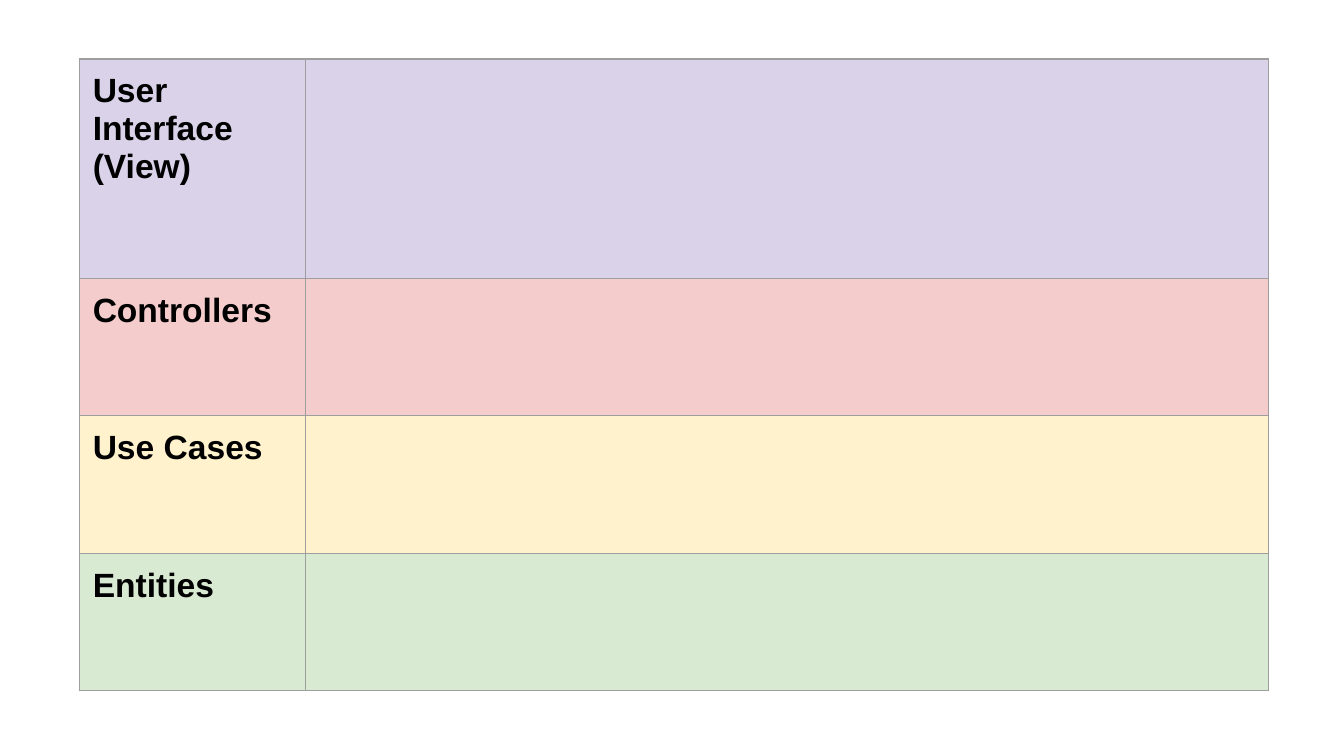
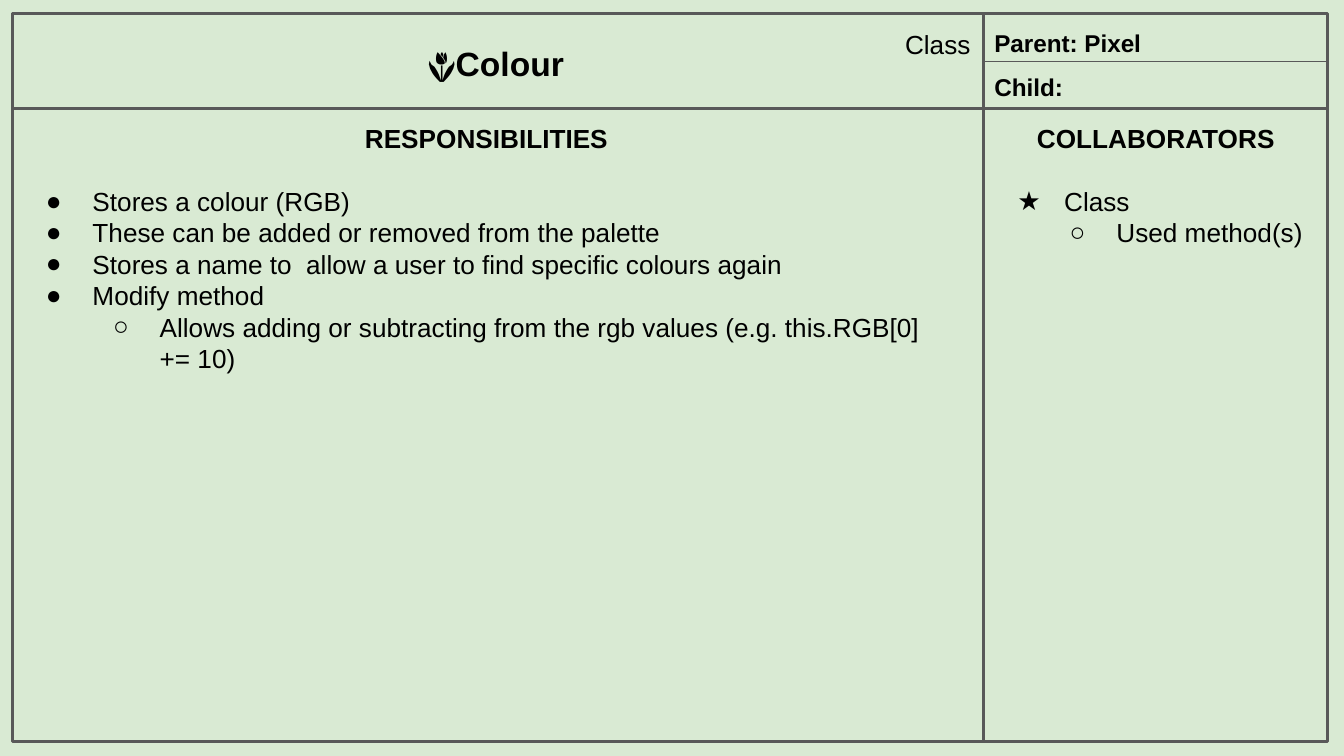
from lxml.etree import SubElement
from pptx import Presentation
from pptx.dml.color import RGBColor
from pptx.enum.shapes import MSO_CONNECTOR, MSO_SHAPE
from pptx.enum.text import MSO_AUTO_SIZE, PP_ALIGN
from pptx.oxml import parse_xml
from pptx.oxml.ns import nsdecls, qn
from pptx.util import Pt

BLACK = RGBColor(0, 0, 0)
WHITE = RGBColor(255, 255, 255)
GREY = RGBColor(0x59, 0x59, 0x59)
EDGE = RGBColor(0x9E, 0x9E, 0x9E)
LILAC = RGBColor(0xD9, 0xD2, 0xE9)
PINK = RGBColor(0xF4, 0xCC, 0xCC)
CREAM = RGBColor(0xFF, 0xF2, 0xCC)
GREEN = RGBColor(0xD9, 0xEA, 0xD3)

# Frame of the class card
LEFT, TOP, RIGHT, BASE = 6.5, 7.2, 711.4, 397.4
SPLIT, RULE, MID = 527, 58.3, 33.1


class Deck:
    font = "Arial"
    inset = Pt(7.2)

    def __init__(self):
        self.prs = Presentation()
        self.prs.slide_width, self.prs.slide_height = Pt(720), Pt(405)
        self.slide = None

    def add(self, back):
        self.slide = self.prs.slides.add_slide(self.prs.slide_layouts[6])
        fill = self.slide.background.fill
        fill.solid()
        fill.fore_color.rgb = back

    def style(self, para, size, bold=False, align=None):
        para.alignment = align
        for run in para.runs:
            font = run.font
            font.name, font.size, font.bold = self.font, Pt(size), bold
            font.color.rgb = BLACK

    def pad(self, item):
        item.margin_left = item.margin_right = self.inset
        item.margin_top = item.margin_bottom = self.inset

    def text(self, box, text, size, bold=False, align=None):
        shape = self.slide.shapes.add_textbox(*map(Pt, box))
        frame = shape.text_frame
        frame.word_wrap = True
        frame.auto_size = MSO_AUTO_SIZE.SHAPE_TO_FIT_TEXT
        self.pad(frame)
        frame.text = text
        self.style(frame.paragraphs[0], size, bold, align)
        return frame

    def bullet(self, para, mark, indent):
        props = para._p.get_or_add_pPr()
        props.set("marL", str(Pt(indent)))
        props.set("indent", str(Pt(-25)))
        color = SubElement(props, qn("a:buClr"))
        SubElement(color, qn("a:srgbClr"), val=str(BLACK))
        SubElement(props, qn("a:buFont"), typeface=self.font)
        SubElement(props, qn("a:buChar"), char=mark)

    def column(self, box, title, items, marks, indents):
        """A centred heading, then (level, text) bullets."""
        frame = self.text(box, title, 14, True, PP_ALIGN.CENTER)
        frame.paragraphs[0].space_after = Pt(17)
        for level, text in items:
            para = frame.add_paragraph()
            para.text = text
            para.level = level
            self.style(para, 14)
            self.bullet(para, marks[level], indents[level])

    def rect(self, box):
        shape = self.slide.shapes.add_shape(MSO_SHAPE.RECTANGLE, *map(Pt, box))
        shape.shadow.inherit = False
        shape.fill.background()
        shape.line.color.rgb = GREY
        shape.line.width = Pt(1.5)

    def line(self, x1, y1, x2, y2, width=1.5):
        ends = map(Pt, (x1, y1, x2, y2))
        line = self.slide.shapes.add_connector(MSO_CONNECTOR.STRAIGHT, *ends)
        line.line.color.rgb = GREY
        line.line.width = Pt(width)
        SubElement(line._element.spPr, qn("a:effectLst"))

    def border(self, cell):
        props = cell._tc.get_or_add_tcPr()
        for i, side in enumerate("LRTB"):
            props.insert(i, parse_xml(
                f'<a:ln{side} {nsdecls("a")} w="{Pt(0.75)}"><a:solidFill>'
                f'<a:srgbClr val="{EDGE}"/></a:solidFill></a:ln{side}>'))

    def table(self, left, top, widths, rows):
        """Rows are (label, height, colour); only the first cell has text."""
        high = sum(row[1] for row in rows)
        box = (left, top, sum(widths), high)
        table = self.slide.shapes.add_table(
            len(rows), len(widths), *map(Pt, box)).table
        table.first_row = table.horz_banding = False
        for col, width in zip(table.columns, widths):
            col.width = Pt(width)
        for row, (label, height, color) in zip(table.rows, rows):
            row.height = Pt(height)
            for cell in row.cells:
                cell.fill.solid()
                cell.fill.fore_color.rgb = color
                self.pad(cell)
                self.border(cell)
            first = row.cells[0]
            first.text = label
            self.style(first.text_frame.paragraphs[0], 18, True)


deck = Deck()

# Slide 1: layers
deck.add(WHITE)
deck.table(42.5, 31.6, (121, 516), [
    ("User Interface (View)", 117.6, LILAC),
    ("Controllers", 73.6, PINK),
    ("Use Cases", 73.6, CREAM),
    ("Entities", 73.6, GREEN),
])

# Slide 2: class card
deck.add(GREEN)
deck.rect((LEFT, TOP, RIGHT - LEFT, BASE - TOP))
deck.text((16.6, 15.8, 498, 36), "🌷Colour", 18, True, PP_ALIGN.CENTER)
deck.column((LEFT, RULE, 508.3, 150.5), "RESPONSIBILITIES", [
    (0, "Stores a colour (RGB)"),
    (0, "These can be added or removed from the palette"),
    (0, "Stores a name to  allow a user to find specific colours again"),
    (0, "Modify method"),
    (1, "Allows adding or subtracting from the rgb values "
        "(e.g. this.RGB[0] += 10)"),
], "●○", (36, 72))
deck.column((SPLIT, RULE, RIGHT - SPLIT, 82), "COLLABORATORS", [
    (0, "Class"),
    (1, "Used method(s)"),
], "★○", (36, 64))

# Rules and header labels
deck.line(LEFT, RULE, RIGHT, RULE)
deck.line(SPLIT, TOP, SPLIT, BASE)
deck.text((338.4, 7.9, 188.6, 31.7), "Class", 14, align=PP_ALIGN.RIGHT)
deck.line(RIGHT, MID, SPLIT, MID, 0.75)
for top, label in ((7.9, "Parent: Pixel"), (31.7, "Child:")):
    deck.text((525.6, top, 188.6, 30.2), label, 13, True)

deck.prs.save("out.pptx")
